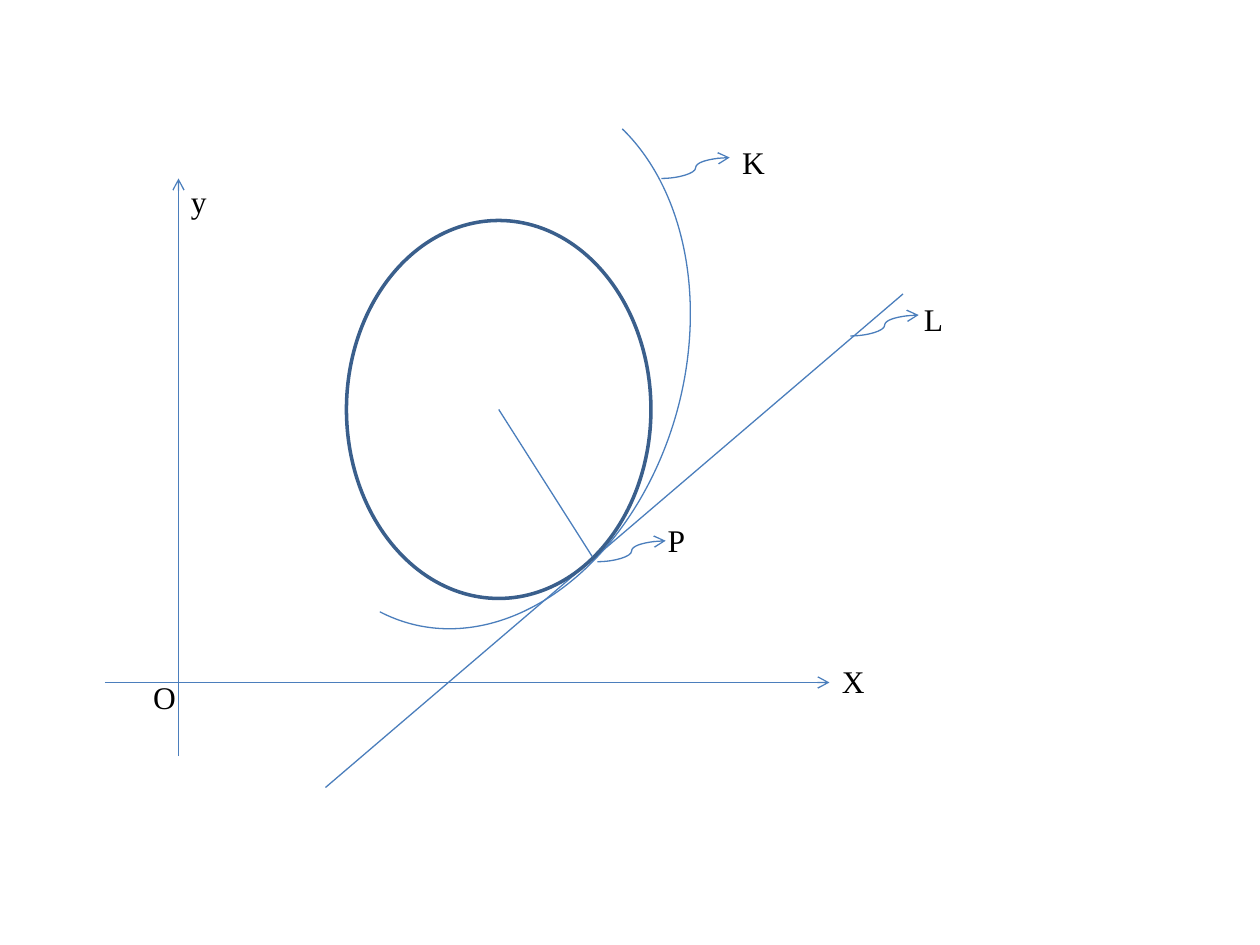
"""Draw a circle, curve K and tangent line L touching at point P on x-y axes."""
from lxml import etree
from pptx import Presentation, util as u
from pptx.dml.color import RGBColor
from pptx.enum import shapes, text
from pptx.oxml.ns import qn

BLUE = RGBColor(0x4B, 0x7E, 0xBC)
NAVY = RGBColor(0x3A, 0x5F, 0x8C)
BLACK = RGBColor(0, 0, 0)
STRAIGHT = shapes.MSO_CONNECTOR.STRAIGHT
CURVE = shapes.MSO_CONNECTOR.CURVE
LEADER = (6.5, -2)


def grid(*cells):
    return [u.Inches(c / 12) for c in cells]


def add_line(s, start, end, kind=STRAIGHT, arrow=False):
    sp = s.shapes.add_connector(kind, *grid(*start, *end))
    sp.line.color.rgb = BLUE
    sp.line.width = u.Pt(0.75)
    if arrow:
        etree.SubElement(sp.line._get_or_add_ln(), qn("a:tailEnd"), type="arrow")
    etree.SubElement(sp._element.spPr, qn("a:effectLst"))


def add_outline(s, kind, box, color, width):
    sp = s.shapes.add_shape(kind, *grid(*box))
    sp.shadow.inherit = False
    sp.fill.background()
    sp.line.color.rgb = color
    sp.line.width = u.Pt(width)
    return sp


def add_label(s, name, col, row):
    tf = s.shapes.add_textbox(*grid(col, row, 6.5, 4.8)).text_frame
    tf.word_wrap = True
    tf.auto_size = text.MSO_AUTO_SIZE.SHAPE_TO_FIT_TEXT
    p = tf.paragraphs[0]
    p.text = name
    p.font.name = "Times New Roman"
    p.font.size = u.Pt(18)
    p.font.color.rgb = BLACK


def add_callout(s, name, col, row, label):
    end = (col + LEADER[0], row + LEADER[1])
    add_line(s, (col, row), end, CURVE, arrow=True)
    add_label(s, name, *label)


def main():
    prs = Presentation()
    prs.slide_width, prs.slide_height = grid(120, 90)
    s = prs.slides.add_slide(prs.slide_layouts[6])

    add_line(s, (17, 72), (17, 17), arrow=True)
    add_line(s, (10, 65), (79, 65), arrow=True)
    add_line(s, (86, 28), (31, 75))

    arc = add_outline(s, shapes.MSO_SHAPE.ARC, (26.6, 7.6, 38.6, 52.7), BLUE, 0.75)
    arc.rotation = 15
    arc.adjustments[0] = 171.99
    arc.adjustments[1] = 58.07
    add_outline(s, shapes.MSO_SHAPE.FLOWCHART_CONNECTOR, (33, 21, 29, 36), NAVY, 2)
    add_line(s, (47.5, 39), (56.4, 53))

    add_callout(s, "K", 63, 17, (69.5, 13))
    add_callout(s, "L", 81, 32, (86.8, 28))
    add_callout(s, "P", 56.9, 53.5, (62.4, 49))
    for name, col, row in (("y", 17, 16.7), ("X", 79, 62.5), ("O", 13.4, 64)):
        add_label(s, name, col, row)

    prs.save("out.pptx")


if __name__ == "__main__":
    main()
